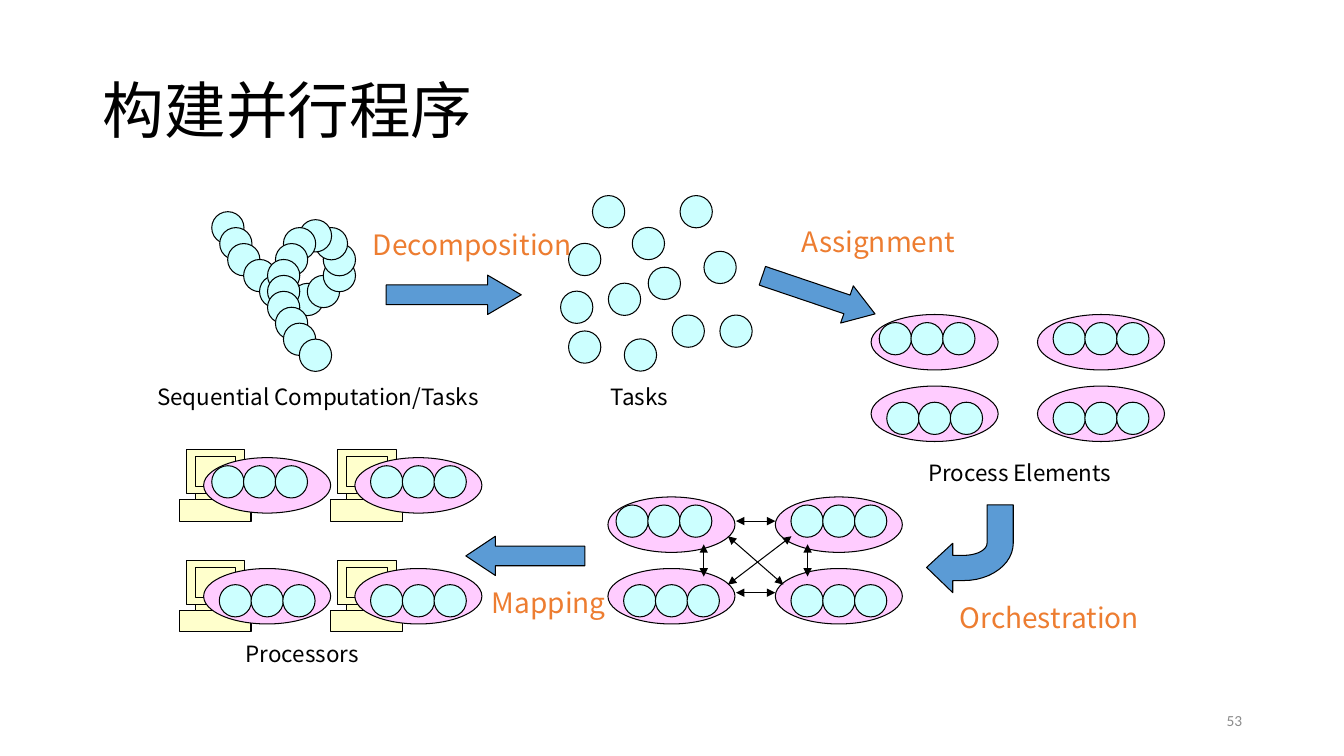
import math
from lxml import etree
from pptx import Presentation, util as u
from pptx.dml import color
from pptx.enum import shapes, text
from pptx.oxml import ns

CJK = "Noto Sans CJK JP"
BLACK, ORANGE, BLUE, AQUA, PINK, CREAM = (
    "000000", "ED7D31", "5B9BD5", "CCFFFF", "FFCCFF", "FFFFCC")
BALL = 0.32
STEP = 0.079  # grid on which the loose task balls sit
SEQUENCE = [(0, 0), (1, 2), (2, 4), (4, 6), (6, 8), (8, 9), (10, 9), (12, 8),
            (14, 6), (14, 4), (13, 2), (11, 1), (9, 2), (8, 4), (7, 6), (7, 8),
            (7, 10), (8, 12), (9, 14), (11, 16)]
TASKS = [(1, 6), (11, 9), (15, 0), (9, 4), (0, 12), (1, 17), (8, 18), (14, 15),
         (6, 11), (20, 15), (4, 0), (18, 7)]
COMPUTER = [(0.56, 0.5), (0.56, 0.44), (0.65, 0.44), (0.65, 0), (0.07, 0),
            (0.07, 0.44), (0.16, 0.44), (0.16, 0.5), (0, 0.5), (0, 0.71),
            (0.71, 0.71), (0.71, 0.5)]


def rgb(value):
    return color.RGBColor.from_string(value)


def paint(shape, fill):
    shape.shadow.inherit = False
    shape.fill.solid()
    shape.fill.fore_color.rgb = rgb(fill)
    shape.line.color.rgb = rgb(BLACK)
    shape.line.width = u.Pt(0.75)
    return shape


def add_preset(page, kind, left, top, width, height, fill):
    box = map(u.Inches, (left, top, width, height))
    return paint(page.shapes.add_shape(kind, *box), fill)


def add_outline(page, left, top, points, fill):
    """Draw a closed outline whose points are relative to left, top."""
    corners = [(u.Inches(left + x), u.Inches(top + y)) for x, y in points]
    builder = page.shapes.build_freeform(*corners[0])
    builder.add_line_segments(corners[1:], close=True)
    return paint(builder.convert_to_shape(), fill)


def write(frame, words, size=16, font=CJK, ink=BLACK,
          align=text.PP_ALIGN.LEFT, anchor=text.MSO_ANCHOR.TOP,
          fit=text.MSO_AUTO_SIZE.NONE, spacing=1.0):
    frame.word_wrap = True
    frame.auto_size = fit
    frame.vertical_anchor = anchor
    para = frame.paragraphs[0]
    para.alignment = align
    para.line_spacing = spacing
    span = para.add_run()
    span.text = words
    span.font.size = u.Pt(size)
    span.font.name = font
    span.font.color.rgb = rgb(ink)


def add_label(page, left, top, width, height, words, **style):
    box = page.shapes.add_textbox(*map(u.Inches, (left, top, width, height)))
    write(box.text_frame, words, **style)


def add_caption(page, left, top, width, words):
    add_label(page, left, top, width, 0.37, words,
              fit=text.MSO_AUTO_SIZE.SHAPE_TO_FIT_TEXT)


def add_step_name(page, left, top, width, words):
    add_label(page, left, top, width, 0.43, words, size=20, ink=ORANGE,
              fit=text.MSO_AUTO_SIZE.SHAPE_TO_FIT_TEXT)


def add_title(page):
    title = page.shapes.title
    title.left, title.top, title.width, title.height = map(
        u.Inches, (0.92, 0.4, 11.5, 1.45))
    write(title.text_frame, "构建并行程序", size=44, font="Calibri",
          anchor=text.MSO_ANCHOR.MIDDLE, spacing=0.9)


def add_ball(page, left, top):
    add_preset(page, shapes.MSO_SHAPE.OVAL, left, top, BALL, BALL, AQUA)


def add_ball_cloud(page, left, top, cells):
    for column, row in cells:
        add_ball(page, left + column * STEP, top + row * STEP)


def add_processes(page, left, top, across, down):
    """Draw a two by two grid of ellipses holding three balls each."""
    for row in range(2):
        for column in range(2):
            x, y = left + column * across, top + row * down
            add_preset(page, shapes.MSO_SHAPE.OVAL, x, y, 1.26, 0.55, PINK)
            inset = 0.155 if row or column else 0.08
            for place in range(3):
                add_ball(page, x + inset + place * 0.315, y + 0.08 * (row + 1))


def add_arrow(page, left, top, width, head, turn=0):
    arrow = add_preset(page, shapes.MSO_SHAPE.RIGHT_ARROW,
                       left, top, width, 0.39, BLUE)
    arrow.adjustments[1] = head
    arrow.rotation = turn


def add_bent_arrow(page, left, top):
    """Draw an arrow that comes from above and turns to the left."""
    def bend(across, down):
        angles = [math.radians(90 - 7.5 * i) for i in range(13)]
        return [(0.37 + across * math.cos(a), 0.38 + down * math.sin(a))
                for a in angles]

    head = [(0.26, 0.5), (0.26, 0.38), (0, 0.62), (0.26, 0.87), (0.26, 0.75)]
    shaft = [(0.86, 0), (0.6, 0)]
    add_outline(page, left, top,
                head + bend(0.49, 0.37) + shaft + bend(0.23, 0.12)[::-1], BLUE)


def add_links(page, left, top):
    """Join the four processes of a grid with two-headed arrows."""
    ends = [(1.19, 0.39, 1.74, 0.87), (1.19, 0.87, 1.82, 0.39),
            (1.27, 0.24, 1.66, 0.24), (1.27, 0.95, 1.66, 0.95),
            (1.98, 0.79, 1.98, 0.47), (0.95, 0.79, 0.95, 0.47)]
    for x1, y1, x2, y2 in ends:
        link = page.shapes.add_connector(
            shapes.MSO_CONNECTOR.STRAIGHT,
            *map(u.Inches, (left + x1, top + y1, left + x2, top + y2)))
        link.line.color.rgb = rgb(BLACK)
        link.line.width = u.Pt(0.75)
        line = link.line._get_or_add_ln()
        for end in ("a:headEnd", "a:tailEnd"):
            etree.SubElement(line, ns.qn(end), type="triangle")
        etree.SubElement(link._element.spPr, ns.qn("a:effectLst"))


def add_computer(page, left, top):
    add_outline(page, left, top, COMPUTER, CREAM)
    neck, screen, slot = ((0.16, 0.44, 0.4, 0.06), (0.16, 0.07, 0.4, 0.3),
                          (0.46, 0.54, 0.21, 0.02))
    for x, y, width, height in (neck, screen, slot):
        add_preset(page, shapes.MSO_SHAPE.RECTANGLE,
                   left + x, top + y, width, height, CREAM)


def add_processors(page, left, top):
    across, down = 1.5, 1.1
    for row in range(2):
        for column in range(2):
            add_computer(page, left + column * across, top + row * down)
    add_processes(page, left + 0.24, top + 0.08, across, down)
    add_caption(page, left + 0.56, top + 1.84, 1.42, "Processors")


def build_slide(page):
    add_title(page)
    add_ball_cloud(page, 2.1, 2.1, SEQUENCE)
    add_caption(page, 1.46, 3.75, 3.48, "Sequential Computation/Tasks")
    add_arrow(page, 3.83, 2.73, 1.34, 0.854)
    add_step_name(page, 3.6, 2.21, 2.28, "Decomposition")
    add_ball_cloud(page, 5.56, 1.94, TASKS)
    add_caption(page, 5.96, 3.75, 0.87, "Tasks")
    add_arrow(page, 7.53, 2.73, 1.18, 0.752, turn=18.7)
    add_step_name(page, 7.85, 2.18, 2.28, "Assignment")
    add_processes(page, 8.64, 3.12, 1.65, 0.71)
    add_caption(page, 9.11, 4.51, 2.13, "Process Elements")
    add_bent_arrow(page, 9.19, 5.01)
    add_step_name(page, 9.42, 5.91, 2.05, "Orchestration")
    add_processes(page, 6.03, 4.93, 1.66, 0.71)
    add_links(page, 6.03, 4.93)
    add_arrow(page, 4.62, 5.32, 1.18, 0.752, turn=180)
    add_step_name(page, 4.78, 5.76, 1.34, "Mapping")
    add_processors(page, 1.78, 4.46)
    add_label(page, 9.42, 6.95, 3, 0.4, "53", size=11, font="Calibri",
              ink="8C8C8C", align=text.PP_ALIGN.RIGHT,
              anchor=text.MSO_ANCHOR.MIDDLE)


def main():
    deck = Presentation()
    deck.slide_width, deck.slide_height = u.Inches(13.33), u.Inches(7.5)
    build_slide(deck.slides.add_slide(deck.slide_layouts[5]))
    deck.save("out.pptx")


if __name__ == "__main__":
    main()
